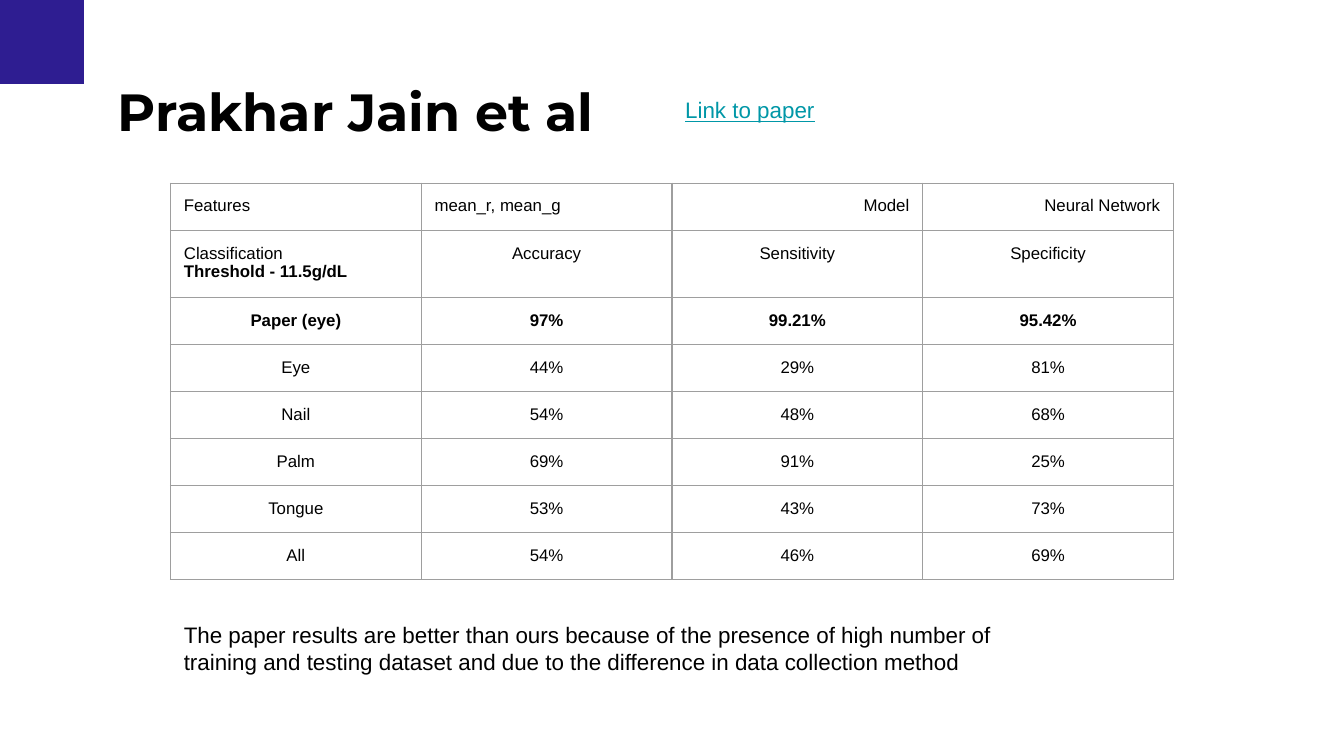
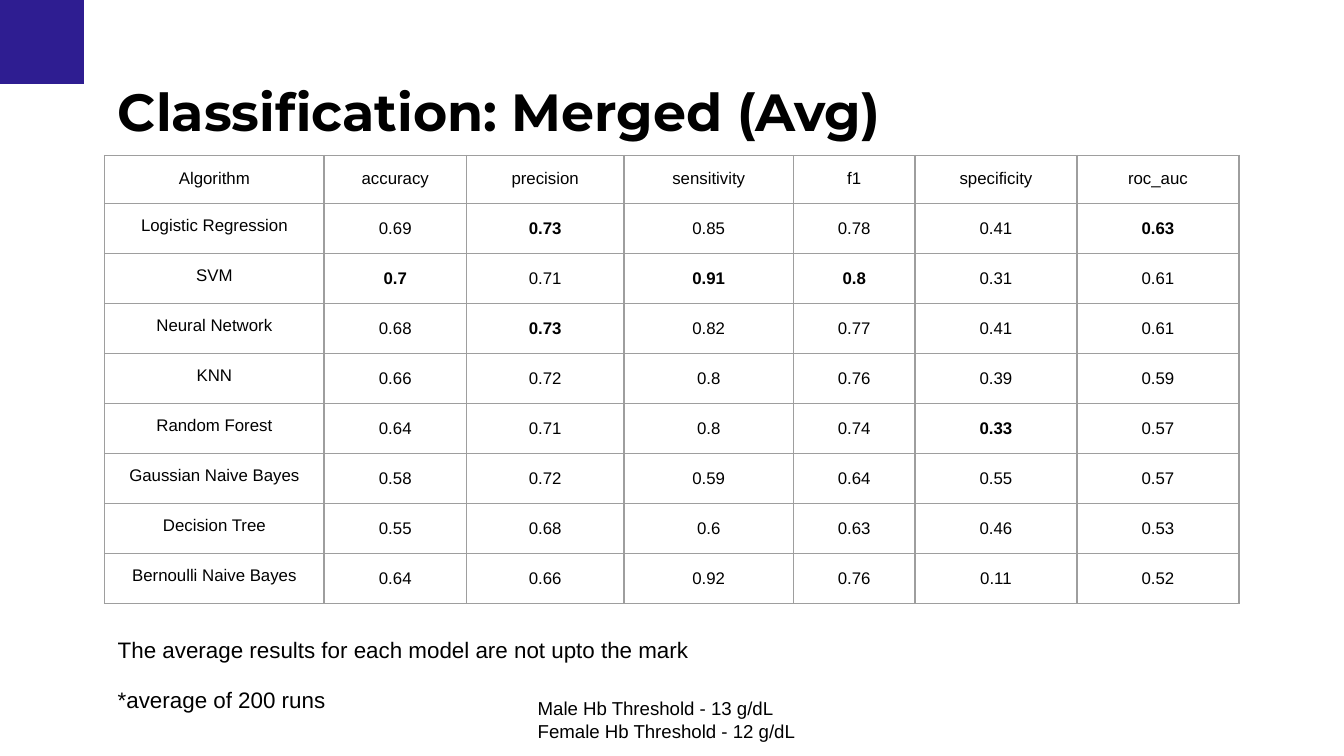
from lxml.etree import SubElement
from pptx import Presentation
from pptx.dml.color import RGBColor
from pptx.enum.shapes import MSO_SHAPE
from pptx.enum.text import MSO_ANCHOR, MSO_AUTO_SIZE, PP_ALIGN
from pptx.oxml.ns import qn
from pptx.util import Pt

# Shared look
INDIGO, BLACK, TEAL, GREY = "2E1D91", "000000", "0097A7", "9E9E9E"
TITLE = {"name": "Montserrat", "size": Pt(28), "bold": True}
CELL = {"name": "Arial", "size": Pt(9), "bold": False}
NOTE = {"name": "Arial", "size": Pt(12)}
SMALL = {"name": "Arial", "size": Pt(10)}
LINK = {"name": "Arial", "size": Pt(12), "underline": True}
LEFT, CENTER, RIGHT = PP_ALIGN.LEFT, PP_ALIGN.CENTER, PP_ALIGN.RIGHT
INSET = Pt(7.2)


def color(hex_value):
    return RGBColor.from_string(hex_value)


def write(frame, text, formats, hex_value=BLACK, align=LEFT, spacing=1.0):
    """Fill a text frame, one paragraph for each line of text."""
    frame.text = text
    for para in frame.paragraphs:
        para.alignment = align
        para.line_spacing = spacing
        for span in para.runs:
            for name, value in formats.items():
                setattr(span.font, name, value)
            span.font.color.rgb = color(hex_value)


deck = Presentation()
deck.slide_width, deck.slide_height = Pt(720), Pt(405)

# Slide content: boxes are (left, top, width, height, text, formats, colour)
slides = [
    {
        "title": "Prakhar Jain et al",
        "place": (91.3, 98.2),
        "columns": [134.35] * 4,
        "heights": [25.2, 36] + [25.2] * 6,
        "rows": [
            ["Features", "mean_r, mean_g", "Model", "Neural Network"],
            ["Classification\nThreshold - 11.5g/dL", "Accuracy", "Sensitivity", "Specificity"],
            ["Paper (eye)", "97%", "99.21%", "95.42%"],
            ["Eye", "44%", "29%", "81%"],
            ["Nail", "54%", "48%", "68%"],
            ["Palm", "69%", "91%", "25%"],
            ["Tongue", "53%", "43%", "73%"],
            ["All", "54%", "46%", "69%"],
        ],
        "bold": {(2, 0), (2, 1), (2, 2), (2, 3)},
        "aligns": {(0, 0): LEFT, (0, 1): LEFT, (0, 2): RIGHT, (0, 3): RIGHT, (1, 0): LEFT},
        "value_spacing": 1.0,
        "boxes": [
            (360, 44.6, 93.6, 28.8, "Link to paper", LINK, TEAL),
            (91.4, 325.5, 463, 44, "The paper results are better than ours because of the "
             "presence of high number of training and testing dataset and due to the "
             "difference in data collection method", NOTE, BLACK),
        ],
    },
    {
        "title": "Classification: Merged (Avg)",
        "place": (56, 83.3),
        "columns": [117.6, 76.3, 84.4, 90.8, 65.1, 86.8, 86.8],
        "heights": [25.6] + [26.8] * 8,
        "rows": [
            ["Algorithm", "accuracy", "precision", "sensitivity", "f1", "specificity", "roc_auc"],
            ["Logistic Regression", "0.69", "0.73", "0.85", "0.78", "0.41", "0.63"],
            ["SVM", "0.7", "0.71", "0.91", "0.8", "0.31", "0.61"],
            ["Neural Network", "0.68", "0.73", "0.82", "0.77", "0.41", "0.61"],
            ["KNN", "0.66", "0.72", "0.8", "0.76", "0.39", "0.59"],
            ["Random Forest", "0.64", "0.71", "0.8", "0.74", "0.33", "0.57"],
            ["Gaussian Naive Bayes", "0.58", "0.72", "0.59", "0.64", "0.55", "0.57"],
            ["Decision Tree", "0.55", "0.68", "0.6", "0.63", "0.46", "0.53"],
            ["Bernoulli Naive Bayes", "0.64", "0.66", "0.92", "0.76", "0.11", "0.52"],
        ],
        "bold": {(1, 2), (1, 6), (2, 1), (2, 3), (2, 4), (3, 2), (5, 5)},
        "aligns": {},
        "value_spacing": 1.15,
        "boxes": [
            (281, 366.2, 158.4, 38.8,
             "Male Hb Threshold - 13 g/dL\nFemale Hb Threshold - 12 g/dL", SMALL, BLACK),
            (56, 360.6, 126.7, 32.4, "*average of 200 runs", NOTE, BLACK),
            (56, 333.6, 378.7, 28.8, "The average results for each model are not upto the mark",
             NOTE, BLACK),
        ],
    },
]

for content in slides:
    page = deck.slides.add_slide(deck.slide_layouts[5])

    # Title
    title = page.shapes.title
    title.left, title.top, title.width, title.height = Pt(56), Pt(35.3), Pt(608), Pt(48.2)
    write(title.text_frame, content["title"], TITLE)

    # Table
    rows, columns = content["rows"], content["columns"]
    left, top = content["place"]
    table = page.shapes.add_table(
        len(rows), len(columns), Pt(left), Pt(top),
        Pt(sum(columns)), Pt(sum(content["heights"]))).table
    table.first_row = table.horz_banding = False
    for column, width in zip(table.columns, columns):
        column.width = Pt(width)
    for r, (row, height) in enumerate(zip(rows, content["heights"])):
        table.rows[r].height = Pt(height)
        for c, text in enumerate(row):
            cell = table.cell(r, c)
            cell.margin_left = cell.margin_right = INSET
            cell.margin_top = cell.margin_bottom = INSET
            spacing = content["value_spacing"] if r and c else 1.0
            write(cell.text_frame, text, CELL | {"bold": (r, c) in content["bold"]},
                  align=content["aligns"].get((r, c), CENTER), spacing=spacing)
            for para in cell.text_frame.paragraphs[1:]:
                para.runs[0].font.bold = True
            # Cell borders come before the fill
            properties = cell._tc.get_or_add_tcPr()
            for side in ("a:lnL", "a:lnR", "a:lnT", "a:lnB"):
                line = SubElement(properties, qn(side), w=str(Pt(0.75)))
                SubElement(SubElement(line, qn("a:solidFill")), qn("a:srgbClr"), val=GREY)
            cell.fill.background()

    # Text boxes
    for left, top, width, height, text, formats, hex_value in content["boxes"]:
        box = page.shapes.add_textbox(Pt(left), Pt(top), Pt(width), Pt(height))
        write(box.text_frame, text, formats, hex_value)

    # Frame settings for the title and the boxes
    for shape in page.shapes:
        if shape.has_text_frame:
            frame = shape.text_frame
            frame.word_wrap = True
            frame.auto_size = MSO_AUTO_SIZE.NONE
            frame.vertical_anchor = MSO_ANCHOR.TOP
            frame.margin_left = frame.margin_right = INSET
            frame.margin_top = frame.margin_bottom = INSET

# Corner square, moved to the master so that every slide shows it
square = deck.slides[0].shapes.add_shape(MSO_SHAPE.RECTANGLE, 0, 0, Pt(45), Pt(45))
square.shadow.inherit = False
square.fill.solid()
square.fill.fore_color.rgb = color(INDIGO)
square.line.fill.background()
deck.slide_master.shapes.element.append(square.element)

deck.save("out.pptx")
